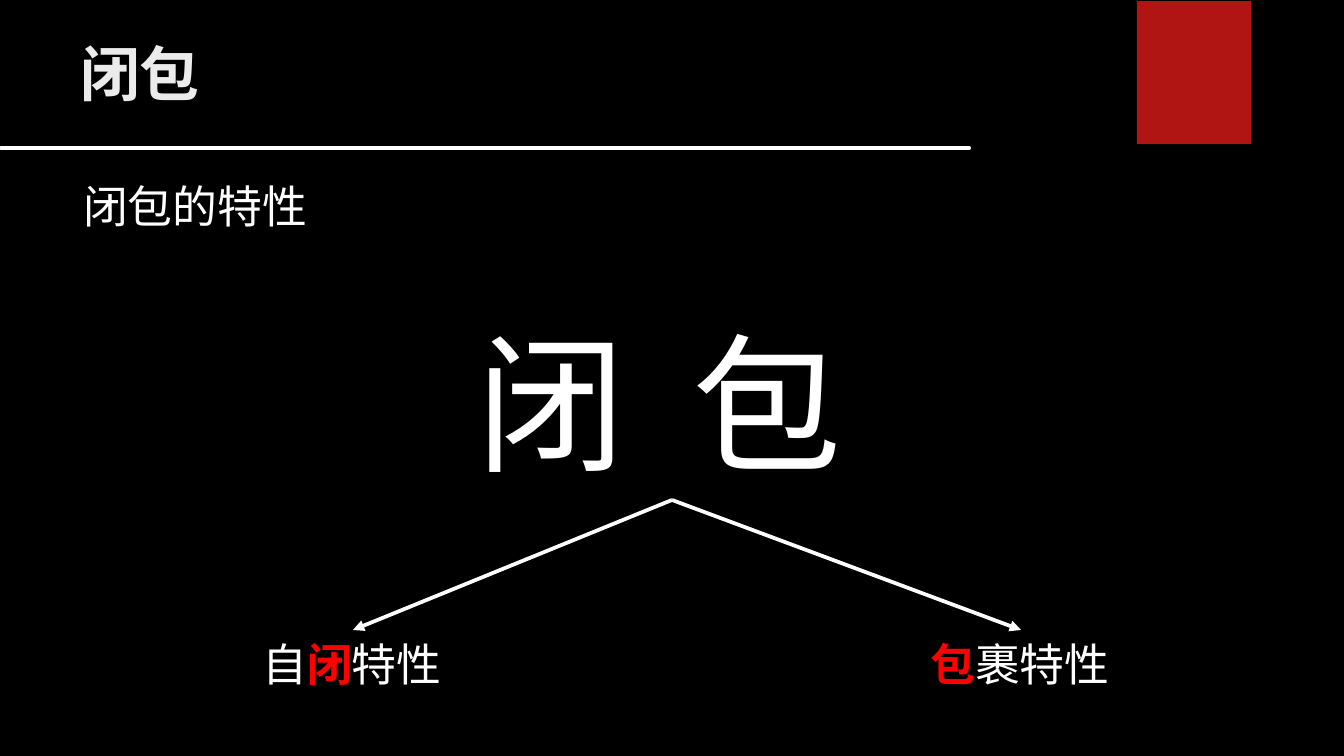
from lxml import etree
from pptx import Presentation
from pptx.dml.color import RGBColor
from pptx.enum.shapes import MSO_CONNECTOR, MSO_SHAPE
from pptx.enum.text import MSO_ANCHOR, MSO_AUTO_SIZE
from pptx.oxml.ns import qn
from pptx.util import Emu, Pt

STRAIGHT = MSO_CONNECTOR.STRAIGHT
RECTANGLE = MSO_SHAPE.RECTANGLE
TOP = MSO_ANCHOR.TOP
GROW = MSO_AUTO_SIZE.SHAPE_TO_FIT_TEXT
FIXED = MSO_AUTO_SIZE.NONE

BLACK = RGBColor(0x00, 0x00, 0x00)
WHITE = RGBColor(0xFF, 0xFF, 0xFF)
OFF_WHITE = RGBColor(0xEB, 0xEB, 0xEB)
RED = RGBColor(0xFF, 0x00, 0x00)
DARK_RED = RGBColor(0xB0, 0x15, 0x13)

PX_PER_INCH = 134.4
WIDTH, HEIGHT = 1344, 756
SIDE_BOTTOM, SIDE_TOP = 2, 0


def px(n):
    return Emu(round(n * 914400 / PX_PER_INCH))


class Deck:
    font = "Noto Sans CJK SC"

    def __init__(self):
        self.prs = Presentation()
        self.prs.slide_width, self.prs.slide_height = px(WIDTH), px(HEIGHT)

    def add_slide(self, color):
        self.s = self.prs.slides.add_slide(self.prs.slide_layouts[6])
        fill = self.s.background.fill
        fill.solid()
        fill.fore_color.rgb = color

    def rect(self, x, y, w, h, color):
        sp = self.s.shapes.add_shape(RECTANGLE, px(x), px(y), px(w), px(h))
        sp.shadow.inherit = False
        sp.fill.solid()
        sp.fill.fore_color.rgb = color
        sp.line.fill.background()

    def text(self, x, y, w, h, size, runs, wrap=False):
        """Add a one-line text box; runs are (text, color, bold)."""
        sp = self.s.shapes.add_textbox(px(x), px(y), px(w), px(h))
        tf = sp.text_frame
        tf.word_wrap = wrap
        tf.auto_size = FIXED if wrap else GROW
        tf.vertical_anchor = TOP
        p = tf.paragraphs[0]
        for words, color, bold in runs:
            r = p.add_run()
            r.text = words
            r.font.size = Pt(size)
            r.font.bold = bold
            r.font.color.rgb = color
            r.font.name = self.font
            ea = etree.SubElement(r.font._element, qn("a:ea"))
            ea.set("typeface", self.font)
        return sp

    def line(self, x1, y1, x2, y2, width):
        c = self.s.shapes.add_connector(STRAIGHT, px(x1), px(y1), px(x2), px(y2))
        c.line.color.rgb = WHITE
        c.line.width = Pt(width)
        etree.SubElement(c._element.spPr, qn("a:effectLst"))
        return c

    def arrow(self, source, target):
        """Point from the bottom of source to the top of target."""
        c = self.line(0, 0, 1, 1, 2)
        c.begin_connect(source, SIDE_BOTTOM)
        c.end_connect(target, SIDE_TOP)
        tail = etree.SubElement(c.line._get_or_add_ln(), qn("a:tailEnd"))
        tail.set("type", "triangle")


def main():
    deck = Deck()
    deck.add_slide(BLACK)
    deck.rect(1137, 1, 114, 143, DARK_RED)
    rule = deck.line(1, 148, 969, 148, 2.25)
    rule.line._get_or_add_ln().set("cap", "rnd")

    deck.text(67, 30, 1210, 126, 32, [("闭包", OFF_WHITE, True)], wrap=True)
    deck.text(70, 172, 254, 69, 24, [("闭包的特性", WHITE, False)])
    word = deck.text(463, 305, 418, 195, 80, [("闭  包", WHITE, False)])

    traits = [
        (249, [("自", WHITE, False), ("闭", RED, True), ("特性", WHITE, False)]),
        (917, [("包", RED, True), ("裹特性", WHITE, False)]),
    ]
    for x, runs in traits:
        trait = deck.text(x, 630, 208, 69, 24, runs)
        deck.arrow(word, trait)

    deck.prs.save("out.pptx")


if __name__ == "__main__":
    main()
